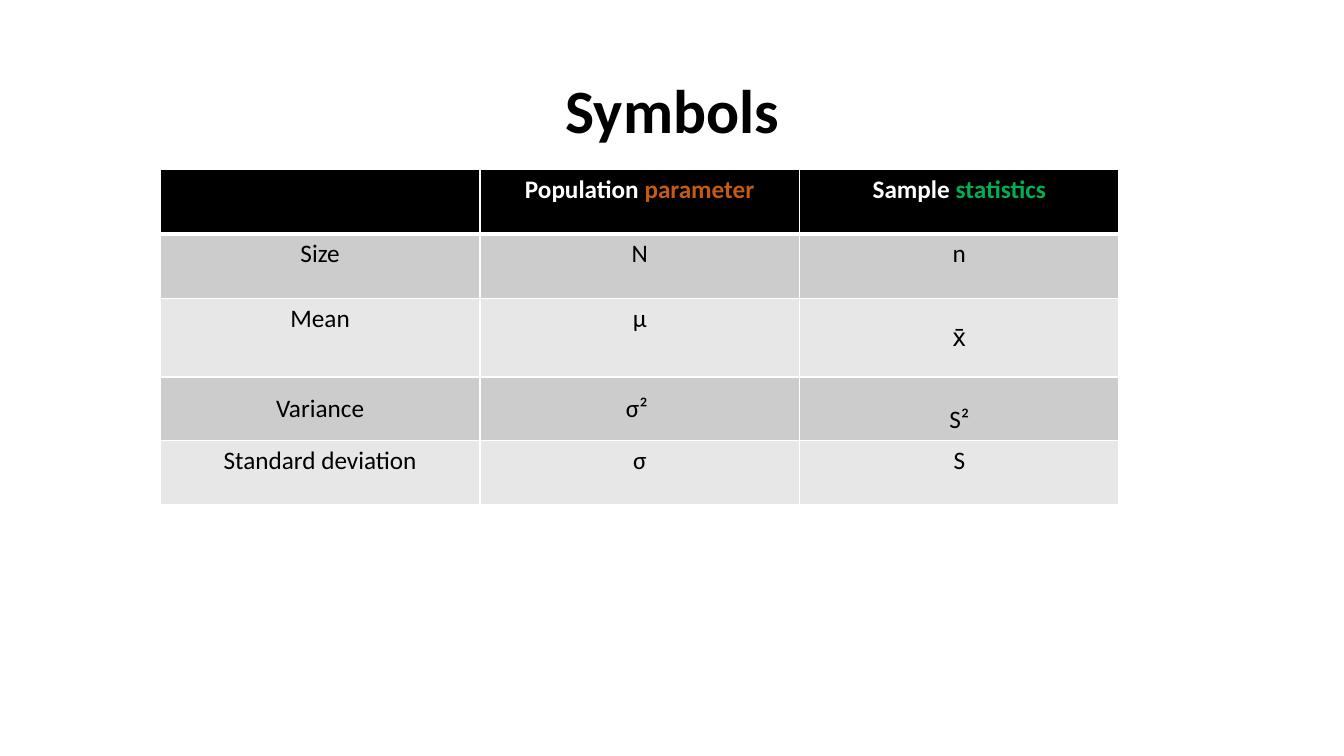
from dataclasses import dataclass

from lxml import etree
from pptx import Presentation
from pptx import util as u
from pptx.dml.color import RGBColor
from pptx.enum import text
from pptx.oxml.ns import qn
from pptx.slide import Slide
from pptx.table import _Cell

BLACK = RGBColor(0x00, 0x00, 0x00)
WHITE = RGBColor(0xFF, 0xFF, 0xFF)
ORANGE = RGBColor(0xC5, 0x5A, 0x11)
GREEN = RGBColor(0x00, 0xB0, 0x50)
BANDS = (RGBColor(0xCC, 0xCC, 0xCC), RGBColor(0xE7, 0xE7, 0xE7))

FONT = "Calibri"
COLUMN_WIDTH = u.Inches(3.17)
ROW_HEIGHTS = [u.Inches(height) for height in (0.64, 0.64, 0.78, 0.63, 0.64)]

TOP = text.MSO_ANCHOR.TOP
MIDDLE = text.MSO_ANCHOR.MIDDLE
BOTTOM = text.MSO_ANCHOR.BOTTOM


@dataclass
class Entry:
    words: str
    anchor: text.MSO_ANCHOR = TOP
    accent: str = ""
    accent_color: RGBColor = WHITE


ROWS = [
    [Entry(""), Entry("Population ", accent="parameter", accent_color=ORANGE),
     Entry("Sample ", accent="statistics", accent_color=GREEN)],
    [Entry("Size"), Entry("N"), Entry("n")],
    [Entry("Mean"), Entry("µ"), Entry("x̄", MIDDLE)],
    [Entry("Variance", MIDDLE), Entry("σ² ", MIDDLE), Entry("S²", BOTTOM)],
    [Entry("Standard deviation"), Entry("σ"), Entry("S")],
]


def add_title(slide: Slide, words: str) -> None:
    title = slide.shapes.title
    title.left, title.top = u.Inches(0.92), u.Inches(0.4)
    title.width, title.height = u.Inches(11.5), u.Inches(1.45)
    title.text_frame.vertical_anchor = MIDDLE
    paragraph = title.text_frame.paragraphs[0]
    paragraph.text = words
    paragraph.alignment = text.PP_ALIGN.CENTER
    paragraph.line_spacing = 0.9
    paragraph.font.name, paragraph.font.size = FONT, u.Pt(44)
    paragraph.font.bold = True
    paragraph.font.color.rgb = BLACK


def set_borders(cell: _Cell, top: float, bottom: float) -> None:
    """Draw white borders; widths are in points."""
    properties = cell._tc.get_or_add_tcPr()
    sides = {"lnL": 1, "lnR": 1, "lnT": top, "lnB": bottom}
    for position, (side, width) in enumerate(sides.items()):
        line = etree.Element(qn(f"a:{side}"), w=str(u.Pt(width)))
        fill = etree.SubElement(line, qn("a:solidFill"))
        etree.SubElement(fill, qn("a:srgbClr"), val=str(WHITE))
        properties.insert(position, line)


def fill_cell(cell: _Cell, entry: Entry, row: int) -> None:
    is_header = row == 0
    cell.fill.solid()
    cell.fill.fore_color.rgb = BLACK if is_header else BANDS[(row - 1) % 2]
    cell.vertical_anchor = entry.anchor
    set_borders(cell, top=3 if row == 1 else 1, bottom=3 if is_header else 1)

    paragraph = cell.text_frame.paragraphs[0]
    paragraph.alignment = text.PP_ALIGN.CENTER
    paragraph.font.name, paragraph.font.size = FONT, u.Pt(18)
    paragraph.font.bold = is_header
    paragraph.font.color.rgb = WHITE if is_header else BLACK
    if entry.words:
        paragraph.add_run().text = entry.words
    if entry.accent:
        accent = paragraph.add_run()
        accent.text = entry.accent
        accent.font.color.rgb = entry.accent_color


def add_symbol_table(slide: Slide) -> None:
    column_count = len(ROWS[0])
    table = slide.shapes.add_table(
        len(ROWS), column_count, u.Inches(1.59), u.Inches(1.68),
        COLUMN_WIDTH * column_count, sum(ROW_HEIGHTS)).table
    for column in table.columns:
        column.width = COLUMN_WIDTH
    for row, (entries, height) in enumerate(zip(ROWS, ROW_HEIGHTS)):
        table.rows[row].height = height
        for column, entry in enumerate(entries):
            fill_cell(table.cell(row, column), entry, row)


def main() -> None:
    presentation = Presentation()
    presentation.slide_width = u.Inches(13.33)
    presentation.slide_height = u.Inches(7.5)
    # Title Only layout
    slide = presentation.slides.add_slide(presentation.slide_layouts[5])
    add_title(slide, "Symbols")
    add_symbol_table(slide)
    presentation.save("out.pptx")


if __name__ == "__main__":
    main()
